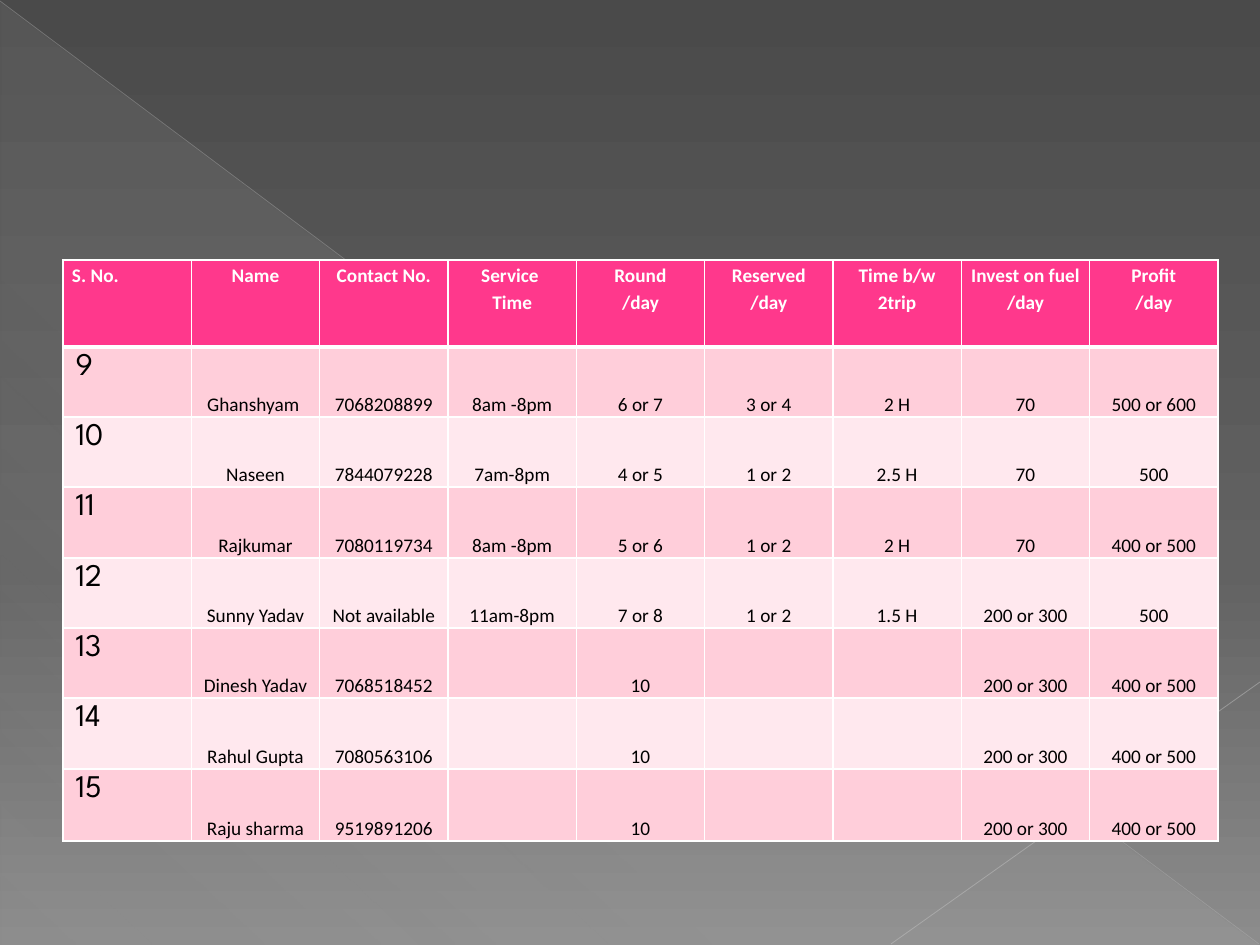
import pptx
import pptx.dml.color
import pptx.enum.shapes
import pptx.enum.text
import pptx.oxml
import pptx.oxml.ns
import pptx.util

qn = pptx.oxml.ns.qn
EMU_PER_PIXEL = 914400 / 126
ALIGN = pptx.enum.text.PP_ALIGN
ANCHOR = pptx.enum.text.MSO_ANCHOR

HEADERS = ["S. No.", "Name", "Contact No.", "Service \nTime", "Round\n/day",
           "Reserved /day", "Time b/w 2trip", "Invest on fuel\n/day", "Profit\n/day"]
DRIVERS = [
    ["9", "Ghanshyam ", "7068208899", "8am -8pm", "6 or 7", "3 or 4", "2 H", "70", "500 or 600"],
    ["10", "Naseen", "7844079228", "7am-8pm", "4 or 5", "1 or 2", "2.5 H", "70", "500"],
    ["11", "Rajkumar", "7080119734", "8am -8pm", "5 or 6", "1 or 2", "2 H", "70", "400 or 500"],
    ["12", "Sunny Yadav", "Not available", "11am-8pm", "7 or 8", "1 or 2", "1.5 H",
     "200 or 300", "500"],
    ["13", "Dinesh Yadav", "7068518452", "", "10", "", "", "200 or 300", "400 or 500"],
    ["14", "Rahul Gupta", "7080563106", "", "10", "", "", "200 or 300", "400 or 500"],
    ["15", "Raju sharma", "9519891206", "", "10", "", "", "200 or 300", "400 or 500"],
]
ROW_HEIGHTS = [87] + [70, 70, 71] * 2 + [72]


def px(length):
    """Turn picture pixels into EMU."""
    return pptx.util.Emu(round(length * EMU_PER_PIXEL))


def color(value):
    """Turn a hex string into a colour."""
    return pptx.dml.color.RGBColor.from_string(value)


def xml(tag, parent=None, **attributes):
    """Make an XML element, placed under a parent if one is given."""
    element = pptx.oxml.parse_xml(f"<{tag} {pptx.oxml.ns.nsdecls('a')}/>")
    for name, value in attributes.items():
        element.set(name, str(value))
    if parent is not None:
        parent.append(element)
    return element


def set_gradient(fill, owner, stops, angle):
    """Give a fill gradient stops of (position, colour, opacity) in percent."""
    fill.gradient()
    gradient = next(owner.iter(qn("a:gradFill")))
    for child in list(gradient):
        gradient.remove(child)
    stop_list = xml("a:gsLst", gradient)
    for position, value, opacity in stops:
        stop = xml("a:gs", stop_list, pos=position * 1000)
        xml("a:alpha", xml("a:srgbClr", stop, val=value), val=opacity * 1000)
    xml("a:lin", gradient, ang=angle * 60000, scaled=0)


def set_borders(cell, **widths):
    """Draw white cell borders; widths in points are keyed L, R, T and B."""
    properties = cell._tc.get_or_add_tcPr()
    for index, (side, width) in enumerate(widths.items()):
        line = xml(f"a:ln{side}", w=round(width * 12700))
        xml("a:srgbClr", xml("a:solidFill", line), val="FFFFFF")
        properties.insert(index, line)


class TimetableSlide:
    """Holds the style and the current slide."""
    font = "Calibri"
    number_font = "League Spartan"
    header_fill = "FF388C"
    band_fills = ["FFCEDA", "FFE8EE"]

    def __init__(self, deck):
        """Add a blank page to the deck."""
        self.page = deck.slides.add_slide(deck.slide_layouts[6])

    def background(self, stops, angle):
        """Fill the page with a gradient."""
        set_gradient(self.page.background.fill, self.page.element, stops, angle)

    def triangle(self, left, top, width, height, stops, angle):
        """Add a right triangle with a faint gradient."""
        shape = self.page.shapes.add_shape(
            pptx.enum.shapes.MSO_SHAPE.RIGHT_TRIANGLE,
            px(left), px(top), px(width), px(height))
        shape.shadow.inherit = False
        set_gradient(shape.fill, shape.element, stops, angle)
        shape.line.fill.background()

    def line(self, start, end, value, width, opacity):
        """Add a straight translucent line."""
        line = self.page.shapes.add_connector(
            pptx.enum.shapes.MSO_CONNECTOR.STRAIGHT, *map(px, start + end))
        line.line.width = pptx.util.Pt(width)
        line.line.color.rgb = color(value)
        xml("a:alpha", next(line.element.iter(qn("a:srgbClr"))), val=opacity * 1000)
        xml("a:effectLst", line.element.spPr)

    def cell_text(self, cell, text, size, font, value, bold=False, align=None, spacing=None):
        """Put text into a cell, one paragraph for each line."""
        cell.text = text
        for para in cell.text_frame.paragraphs:
            para.alignment = align
            para.line_spacing = spacing
            para.font.size = pptx.util.Pt(size)
            para.font.name = font
            para.font.bold = bold
            para.font.color.rgb = color(value)

    def fill_cell(self, cell, text, row, column):
        """Style one cell by its place in the table."""
        header = row == 0
        if header:
            cell.margin_left = cell.margin_right = px(9)
            cell.margin_top = cell.margin_bottom = 0
            align = ALIGN.CENTER if column else ALIGN.LEFT
            self.cell_text(cell, text, 11, self.font, "FFFFFF", True, align, 1.15)
        elif column == 0:
            self.cell_text(cell, text, 18, self.number_font, "000000")
        elif text:
            cell.margin_left = cell.margin_right = cell.margin_top = px(1)
            cell.margin_bottom = 0
            cell.vertical_anchor = ANCHOR.BOTTOM
            self.cell_text(cell, text, 11, self.font, "000000", align=ALIGN.CENTER)
        cell.fill.solid()
        cell.fill.fore_color.rgb = color(
            self.header_fill if header else self.band_fills[(row - 1) % 2])
        set_borders(cell, L=1, R=1, T=3 if row == 1 else 1, B=3 if header else 1)

    def table(self, left, top, width, heights, rows):
        """Add a table with equal columns and given row heights."""
        count = len(rows[0])
        table = self.page.shapes.add_table(
            len(rows), count, px(left), px(top), px(width), px(sum(heights))).table
        for column in table.columns:
            column.width = px(width / count)
        for row, texts in enumerate(rows):
            table.rows[row].height = px(heights[row])
            for column, text in enumerate(texts):
                self.fill_cell(table.cell(row, column), text, row, column)


def main():
    """Build and save the deck."""
    deck = pptx.Presentation()
    deck.slide_width, deck.slide_height = px(1260), px(945)
    slide = TimetableSlide(deck)
    slide.background([(0, "4A4A4A", 100), (60, "626262", 100), (100, "8C8C8C", 100)], 90)
    slide.triangle(1, 2, 1258, 943,
                   [(0, "D2D2D2", 10), (70, "D2D2D2", 8), (100, "D2D2D2", 1)], 133)
    slide.line((0, 1), (1259, 944), "BFBFBF", 0.39, 35)
    slide.line((1260, 682), (891, 944), "C6C6C6", 0.47, 45)
    slide.table(63, 260, 1155, ROW_HEIGHTS, [HEADERS] + DRIVERS)
    deck.save("out.pptx")


main()
